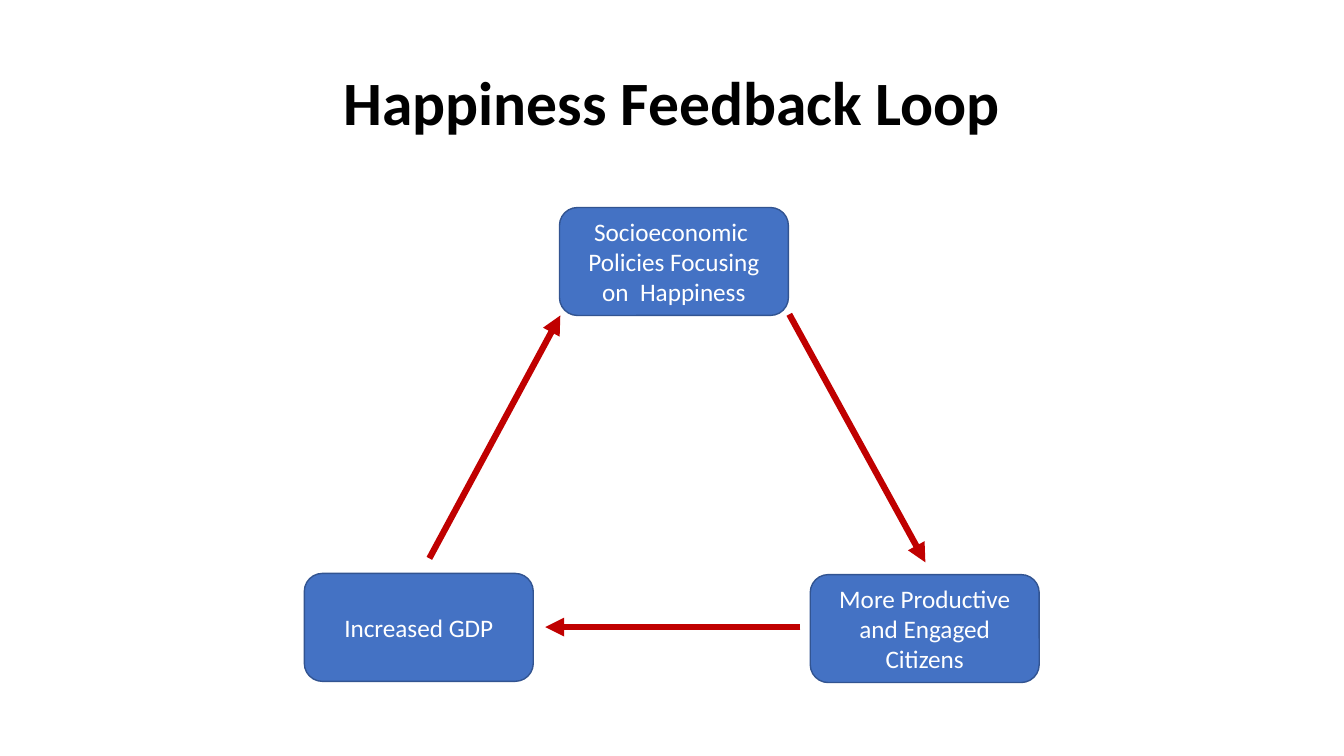
from lxml.etree import SubElement
from pptx import Presentation
from pptx.dml.color import RGBColor
from pptx.enum.shapes import MSO_CONNECTOR as Connector, MSO_SHAPE as Shape
from pptx.enum.text import MSO_ANCHOR as Anchor, PP_ALIGN as Align
from pptx.oxml.ns import qn
from pptx.util import Cm, Pt

COLORS = {
    "title": "000000",
    "stage": "4472C4",
    "stage_edge": "325491",
    "stage_text": "FFFFFF",
    "arrow": "C00000",
}
STAGE_WIDTH, STAGE_HEIGHT = Cm(5.77), Cm(2.72)


def color(part):
    return RGBColor.from_string(COLORS[part])


def write(shape, text, size, part, bold=False):
    """Fill a shape with one centred paragraph of Calibri text."""
    frame = shape.text_frame
    frame.word_wrap = True
    frame.vertical_anchor = Anchor.MIDDLE
    frame.text = text
    paragraph = frame.paragraphs[0]
    paragraph.alignment = Align.CENTER
    font = paragraph.runs[0].font
    font.name = "Calibri"
    font.size = Pt(size)
    font.bold = bold
    font.color.rgb = color(part)


prs = Presentation()
prs.slide_width, prs.slide_height = Cm(33.87), Cm(19.05)
slide = prs.slides.add_slide(prs.slide_layouts[6])

title = slide.shapes.add_textbox(Cm(2.34), Cm(0.81), Cm(29.21), Cm(3.68))
write(title, "Happiness Feedback Loop", 44, "title", bold=True)
title.text_frame.paragraphs[0].line_spacing = 0.9

# Stages of the loop, clockwise from the top: text, left, top
stages = [
    ("Socioeconomic  Policies Focusing on  Happiness", 14.1, 5.23),
    ("More Productive and Engaged Citizens", 20.42, 14.48),
    ("Increased GDP", 7.67, 14.45),
]
for text, left, top in stages:
    stage = slide.shapes.add_shape(
        Shape.ROUNDED_RECTANGLE, Cm(left), Cm(top), STAGE_WIDTH, STAGE_HEIGHT
    )
    stage.shadow.inherit = False
    stage.fill.solid()
    stage.fill.fore_color.rgb = color("stage")
    stage.line.color.rgb = color("stage_edge")
    stage.line.width = Pt(1)
    write(stage, text, 18, "stage_text")

# Each arrow leads from one stage to the next: start x, y, end x, y
arrows = [
    (19.89, 7.92, 23.32, 14.17),
    (20.17, 15.8, 13.74, 15.8),
    (10.82, 14.07, 14.12, 7.95),
]
for ends in arrows:
    arrow = slide.shapes.add_connector(Connector.STRAIGHT, *map(Cm, ends))
    arrow.line.color.rgb = color("arrow")
    arrow.line.width = Pt(4.5)
    SubElement(arrow.line._get_or_add_ln(), qn("a:tailEnd"), type="triangle")
    SubElement(arrow._element.spPr, qn("a:effectLst"))

prs.save("out.pptx")
